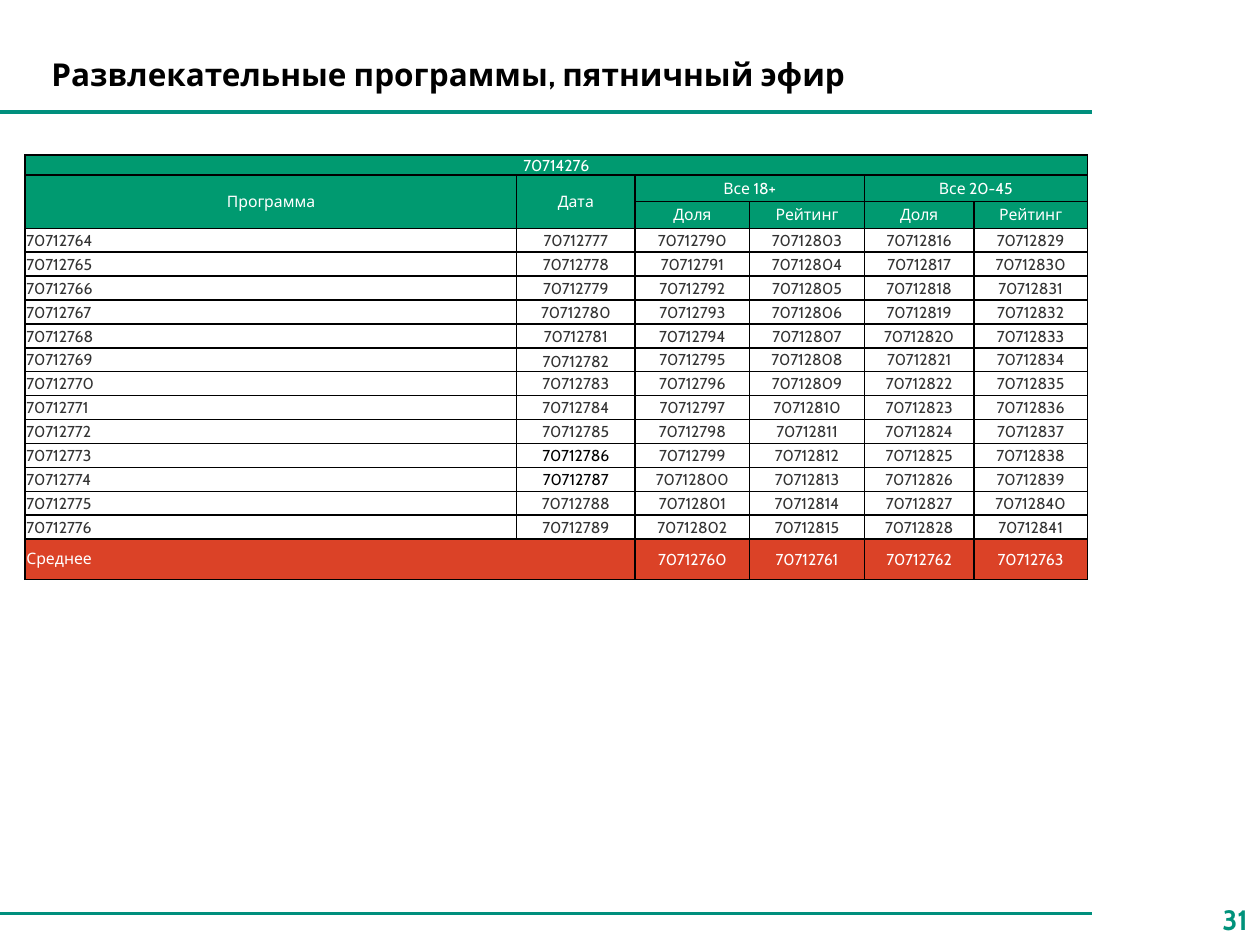
from lxml import etree
from pptx import Presentation
from pptx.dml.color import RGBColor
from pptx.enum import shapes, text
from pptx.oxml import ns
from pptx.util import Inches, Pt

FONT = "Cabin"
TEAL = RGBColor(0x00, 0x8F, 0x7D)
PAGE_TEAL = RGBColor(0x00, 0x92, 0x7B)
GREEN = RGBColor(0x00, 0x9A, 0x70)
RED = RGBColor(0xDB, 0x42, 0x27)
BLACK = RGBColor(0, 0, 0)
WHITE = RGBColor(0xFF, 0xFF, 0xFF)
GREY = RGBColor(0x33, 0x33, 0x33)

LEFT, CENTER, RIGHT = (text.PP_ALIGN.LEFT, text.PP_ALIGN.CENTER,
                       text.PP_ALIGN.RIGHT)
COLUMN_WIDTHS = [3.9, 0.94, 0.91, 0.91, 0.87, 0.9]
PROGRAM_COUNT = 13
HEADER_HEIGHTS = [0.16, 0.21, 0.21]
ROW_HEIGHTS = HEADER_HEIGHTS + [0.19] * PROGRAM_COUNT + [0.32]
FIRST_PROGRAM = 70712764  # values run down each column, then on to the next
FIRST_AVERAGE = 70712760
TIGHT, ROOMY = (0.01, 0), (0.03, 0.03)  # top and bottom cell margins


def add_run(paragraph, words, size, color, bold=False, align=LEFT):
    paragraph.alignment = align
    run = paragraph.add_run()
    run.text = words
    run.font.name = FONT
    run.font.size = Pt(size)
    run.font.bold = bold
    run.font.color.rgb = color


def add_label(slide, box, words, size, color, align=LEFT):
    label = slide.shapes.add_textbox(*map(Inches, box))
    frame = label.text_frame
    frame.word_wrap = True
    frame.vertical_anchor = text.MSO_ANCHOR.MIDDLE
    add_run(frame.paragraphs[0], words, size, color, True, align)


def add_rule(slide, left, top, width):
    rule = slide.shapes.add_connector(
        shapes.MSO_CONNECTOR.STRAIGHT, Inches(left), Inches(top),
        Inches(left + width), Inches(top))
    rule.line.color.rgb = TEAL
    rule.line.width = Pt(2)
    etree.SubElement(rule._element.spPr, ns.qn("a:effectLst"))


def add_borders(cell):
    properties = cell._tc.get_or_add_tcPr()
    for position, side in enumerate(("lnL", "lnR", "lnT", "lnB")):
        border = etree.Element(ns.qn(f"a:{side}"), w=str(Pt(1)))
        fill = etree.SubElement(border, ns.qn("a:solidFill"))
        etree.SubElement(fill, ns.qn("a:srgbClr"), val=str(BLACK))
        properties.insert(position, border)


def fill_cell(cell, words, fill=None, color=WHITE, align=CENTER, margins=TIGHT):
    cell.margin_left = cell.margin_right = Inches(0.01)
    cell.margin_top, cell.margin_bottom = map(Inches, margins)
    cell.vertical_anchor = text.MSO_ANCHOR.MIDDLE
    if fill is None:
        cell.fill.background()
    else:
        cell.fill.solid()
        cell.fill.fore_color.rgb = fill
    add_run(cell.text_frame.paragraphs[0], words, 9, color, align=align)


def fill_header(table):
    table.cell(0, 0).merge(table.cell(0, 5))
    fill_cell(table.cell(0, 0), "70714276", GREEN)
    for column, heading in enumerate(("Программа", "Дата")):
        table.cell(1, column).merge(table.cell(2, column))
        fill_cell(table.cell(1, column), heading, GREEN)
    for column, audience in ((2, "Все 18+"), (4, "Все 20-45")):
        table.cell(1, column).merge(table.cell(1, column + 1))
        fill_cell(table.cell(1, column), audience, GREEN, margins=ROOMY)
        for offset, measure in enumerate(("Доля", "Рейтинг")):
            fill_cell(table.cell(2, column + offset), measure, GREEN,
                      margins=ROOMY)


def fill_programs(table):
    first_row = len(HEADER_HEIGHTS)
    for program in range(PROGRAM_COUNT):
        for column in range(len(COLUMN_WIDTHS)):
            value = FIRST_PROGRAM + column * PROGRAM_COUNT + program
            black_date = column == 1 and program in (9, 10)
            fill_cell(table.cell(first_row + program, column), str(value),
                      color=BLACK if black_date else GREY,
                      align=CENTER if column else LEFT)
    # One date sits at the bottom of its cell
    table.cell(first_row + 5, 1).vertical_anchor = text.MSO_ANCHOR.BOTTOM


def fill_average(table):
    row = len(ROW_HEIGHTS) - 1
    table.cell(row, 0).merge(table.cell(row, 1))
    fill_cell(table.cell(row, 0), "Среднее", RED, align=LEFT, margins=ROOMY)
    for offset in range(4):
        fill_cell(table.cell(row, 2 + offset), str(FIRST_AVERAGE + offset), RED)


def add_ratings_table(slide, left, top):
    table = slide.shapes.add_table(
        len(ROW_HEIGHTS), len(COLUMN_WIDTHS), Inches(left), Inches(top),
        Inches(sum(COLUMN_WIDTHS)), Inches(sum(ROW_HEIGHTS))).table
    table.first_row = table.horz_banding = False
    for column, width in zip(table.columns, COLUMN_WIDTHS):
        column.width = Inches(width)
    for row, height in zip(table.rows, ROW_HEIGHTS):
        row.height = Inches(height)
    fill_header(table)
    fill_programs(table)
    fill_average(table)
    for cell in table.iter_cells():
        add_borders(cell)


def add_footer(slide, left, top, width):
    add_label(slide, (9.48, top - 0.15, 0.52, 0.4), "31", 16, PAGE_TEAL, RIGHT)
    add_rule(slide, left, top, width)


def add_heading(slide, left, top, width):
    add_rule(slide, left, top + 0.5, width)
    add_label(slide, (left + 0.31, top, 8.52, 0.4),
              "Развлекательные программы, пятничный эфир", 18, BLACK)


def main():
    deck = Presentation()
    deck.slide_width, deck.slide_height = Inches(10), Inches(7.5)
    slide = deck.slides.add_slide(deck.slide_layouts[6])
    add_heading(slide, 0, 0.39, 8.67)
    add_footer(slide, 0, 7.25, 8.67)
    add_ratings_table(slide, 0.2, 1.23)
    deck.save("out.pptx")


if __name__ == "__main__":
    main()
